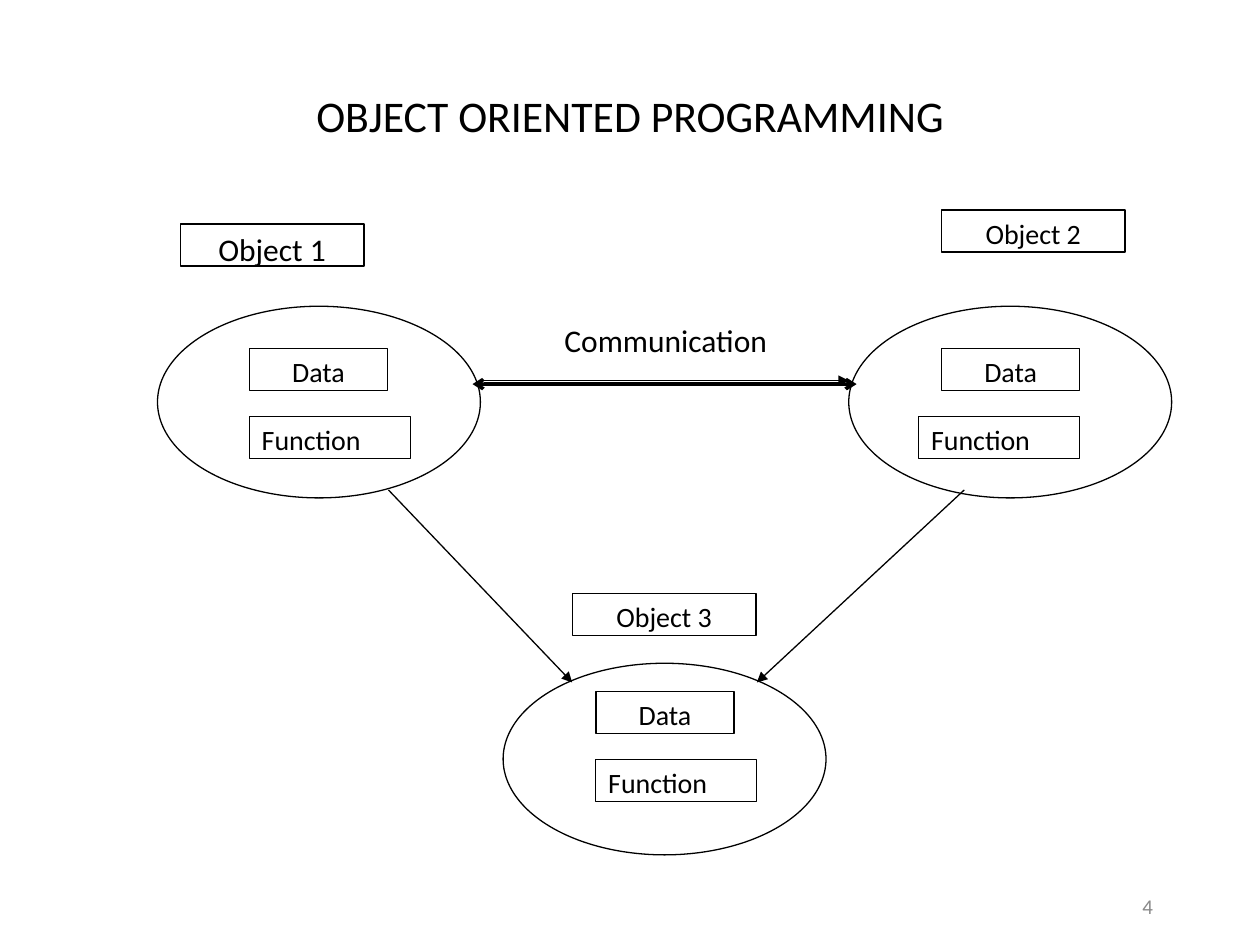
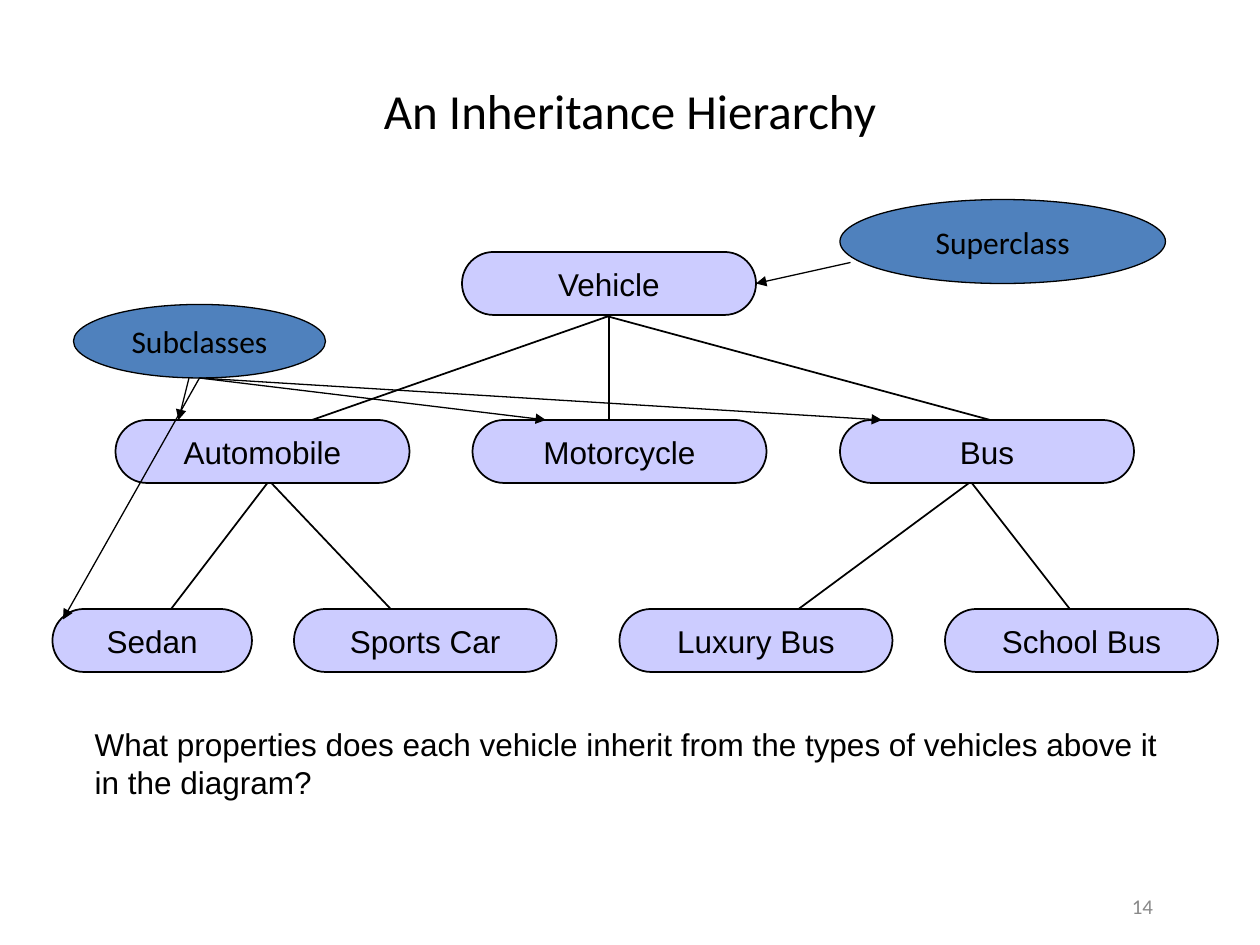
from lxml.etree import SubElement
from pptx import Presentation
from pptx.dml.color import RGBColor
from pptx.enum.shapes import MSO_CONNECTOR, MSO_SHAPE
from pptx.enum.text import MSO_ANCHOR, MSO_AUTO_SIZE, PP_ALIGN
from pptx.oxml.ns import qn
from pptx.util import Pt

BLACK, WHITE, GREY = "000000", "FFFFFF", "898989"
LILAC, BLUE = "CCCCFF", "4F81BD"
TOP, MIDDLE = MSO_ANCHOR.TOP, MSO_ANCHOR.MIDDLE
LEFT, CENTER, RIGHT = PP_ALIGN.LEFT, PP_ALIGN.CENTER, PP_ALIGN.RIGHT


def color(code):
    return RGBColor.from_string(code)


class Deck:
    """Holds the shared style and the current slide."""

    def __init__(self):
        self.file = Presentation()
        self.file.slide_width, self.file.slide_height = Pt(720), Pt(540)
        self.slide = None

    def page(self, title, top, height, size, number):
        self.slide = self.file.slides.add_slide(self.file.slide_layouts[5])
        head = self.slide.shapes.title
        head.left, head.top, head.width, head.height = Pt(54), Pt(top), Pt(612), Pt(height)
        self.label(head, title, size, anchor=MIDDLE)
        self.text(number, 516, 500, 150, 36, 12, RIGHT, MIDDLE, ink=GREY)

    def label(self, shape, words, size, align=CENTER, anchor=TOP,
              font="Calibri", ink=BLACK, wrap=True):
        frame = shape.text_frame
        frame.word_wrap = wrap
        frame.auto_size = MSO_AUTO_SIZE.NONE
        frame.vertical_anchor = anchor
        par = frame.paragraphs[0]
        par.alignment = align
        run = par.add_run()
        run.text = words
        run.font.name, run.font.size = font, Pt(size)
        run.font.color.rgb = color(ink)

    def text(self, words, left, top, width, height, size, align=LEFT, anchor=TOP, **style):
        box = self.slide.shapes.add_textbox(Pt(left), Pt(top), Pt(width), Pt(height))
        self.label(box, words, size, align, anchor, **style)

    def shape(self, kind, left, top, width, height, fill=WHITE, weight=0.75):
        item = self.slide.shapes.add_shape(kind, Pt(left), Pt(top), Pt(width), Pt(height))
        item.shadow.inherit = False
        item.fill.solid()
        item.fill.fore_color.rgb = color(fill)
        item.line.color.rgb = color(BLACK)
        item.line.width = Pt(weight)
        return item

    def box(self, words, left, top, width, size=16, align=CENTER):
        item = self.shape(MSO_SHAPE.RECTANGLE, left, top, width, 24)
        self.label(item, words, size, align)

    def oval(self, left, top, width, height, words="", fill=WHITE):
        item = self.shape(MSO_SHAPE.OVAL, left, top, width, height, fill)
        if words:
            self.label(item, words, 18, anchor=MIDDLE, wrap=False)

    def pill(self, words, left, top, width):
        item = self.shape(MSO_SHAPE.ROUNDED_RECTANGLE, left, top, width, 36, LILAC, 1)
        item.adjustments[0] = 0.5
        self.label(item, words, 18, anchor=MIDDLE, font="Arial", wrap=False)
        return item

    def line(self, start, end, weight=0.75, head=None, tail=None):
        item = self.slide.shapes.add_connector(
            MSO_CONNECTOR.STRAIGHT, *(Pt(value) for value in (*start, *end)))
        item.line.color.rgb = color(BLACK)
        item.line.width = Pt(weight)
        props = item._element.spPr
        for tag, tip in (("a:headEnd", head), ("a:tailEnd", tail)):
            if tip:
                SubElement(props.find(qn("a:ln")), qn(tag), type=tip)
        SubElement(props, qn("a:effectLst"))
        return item

    def arrow(self, start, end):
        return self.line(start, end, tail="triangle")


def objects(deck):
    deck.page("OBJECT ORIENTED PROGRAMMING", 48, 36, 25, "4")
    deck.box("Object 1", 103, 128, 105, 18)
    deck.box("Object 2", 538, 120, 105)
    deck.box("Object 3", 327, 339, 105)
    for left, top, data, drop, func in ((90, 175, 142.5, 24, 142.5),
                                        (485, 175, 538, 24, 525),
                                        (287.5, 379, 340.5, 16, 340.5)):
        deck.oval(left, top, 184.5, 109.5)
        deck.box("Data", data, top + drop, 79)
        deck.box("Function", func, top + drop + 39, 92, align=LEFT)
    deck.arrow((274, 217.5), (485, 217.5))
    deck.arrow((551, 280), (432.5, 390))
    deck.arrow((222, 280), (327, 390))
    deck.line((270, 219.5), (489.5, 219.5), 2, "arrow", "arrow")
    deck.text("Communication", 315.5, 180, 130, 29, 18, wrap=False)


def tree(deck):
    deck.page("An Inheritance Hierarchy", 30, 66, 28, "14")
    for start, end in (((384, 168), (144, 252)), ((348, 162), (348, 264)),
                       ((300, 168), (588, 246)), ((162, 264), (84, 366)),
                       ((138, 258), (246, 372)), ((570, 264), (432, 366)),
                       ((546, 264), (630, 372))):
        deck.line(start, end, 1)
    root = deck.pill("Vehicle", 264, 144, 168)
    for name, left in (("Automobile", 66), ("Motorcycle", 270), ("Bus", 480)):
        deck.pill(name, left, 240, 168)
    for name, left, width in (("Sedan", 30, 114), ("Sports Car", 168, 150),
                              ("School Bus", 540, 156), ("Luxury Bus", 354, 156)):
        deck.pill(name, left, 348, width)
    deck.text("What properties does each vehicle inherit from the types of vehicles "
              "above it in the diagram?", 47, 411, 625, 50.5, 18, font="Arial")
    deck.oval(480, 114, 186, 48, "Superclass", BLUE)
    deck.arrow((486, 150), (432, 162)).end_connect(root, 3)
    deck.oval(42, 174, 144, 42, "Subclasses", BLUE)
    deck.arrow((108, 216), (102, 240))
    for end in ((312, 240), (504, 240), (36, 354)):
        deck.arrow((114, 216), end)


def main():
    deck = Deck()
    objects(deck)
    tree(deck)
    deck.file.save("out.pptx")


if __name__ == "__main__":
    main()
